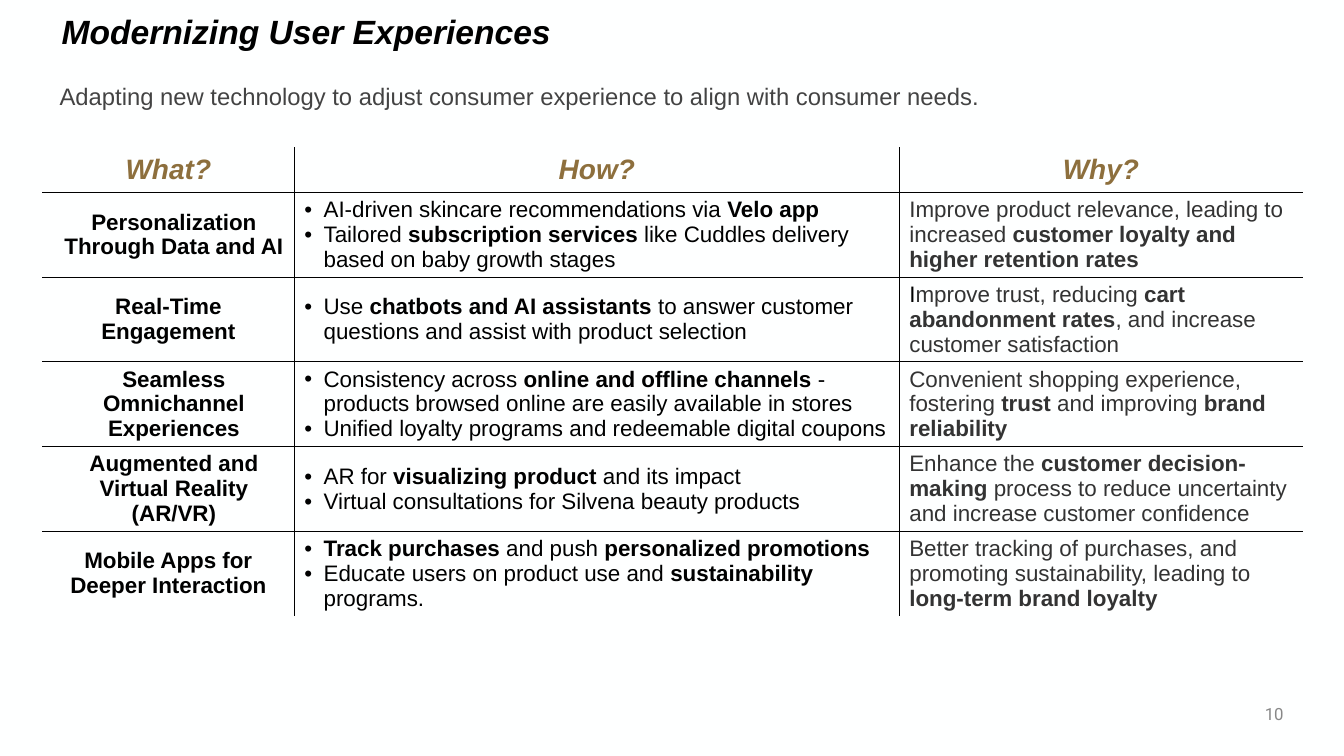
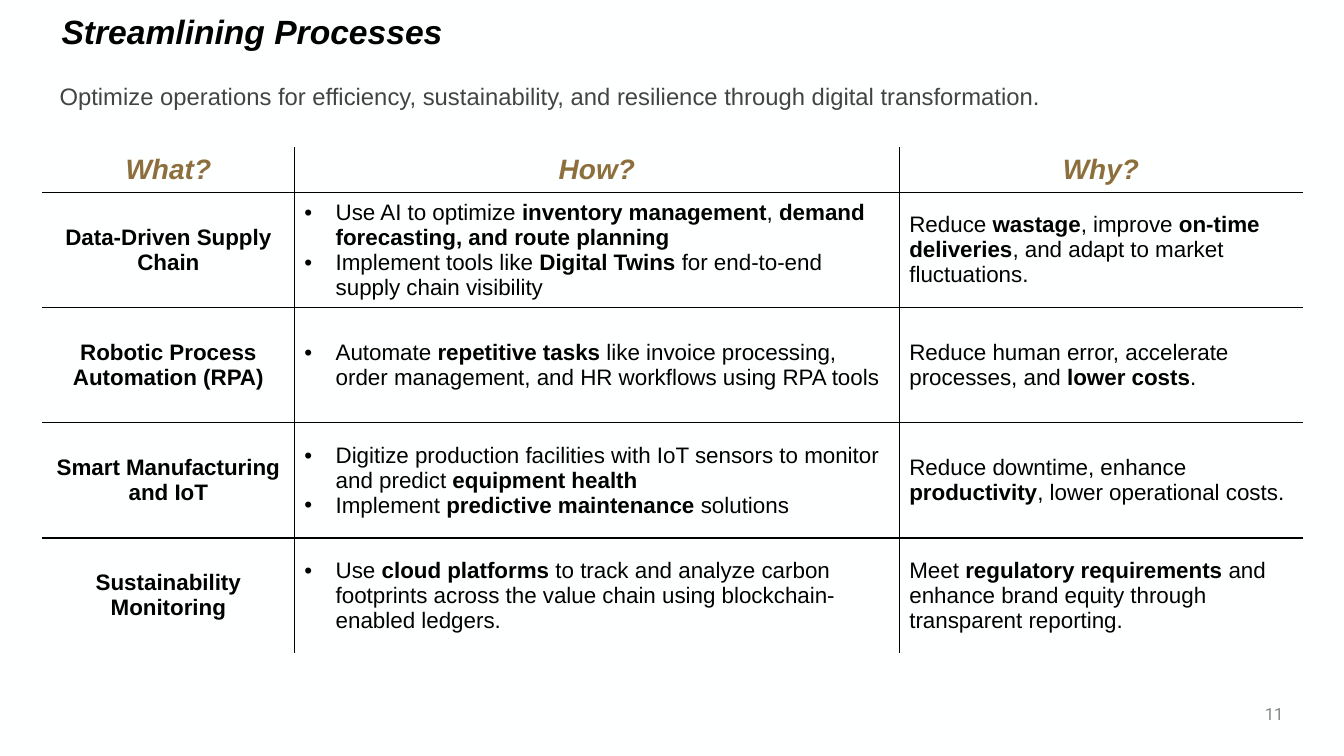
import pptx
import pptx.dml.color
import pptx.enum.text
import pptx.oxml.ns
import pptx.util
from lxml import etree

PAPER, INK, GOLD, SLATE, GRAY, CHARCOAL = "FEFFFF", "000000", "8D6F3D", "434343", "888888", "333333"
SANS, NUMBER_FONT = "Arial", "Roboto"
W, H = pptx.util.Inches(13.33), pptx.util.Inches(7.5)
TITLE_BOX = (3.83, 0.25, 92.4, 8.5)
SUBTITLE_BOX = (3.68, 10.13, 92.7, 5.2)
NUMBER_BOX = (87.25, 91.75, 9, 5.33)
TABLE_LEFT, TABLE_TOP, TABLE_WIDTH = 3.15, 19.45, 93.77
COLUMN_UNITS = (5, 12, 8)
HEADER_HEIGHT = 6
CELL_MARGIN = pptx.util.Inches(0.02)
HEADINGS = ("What?", "How?", "Why?")
ALIGN = pptx.enum.text.PP_ALIGN
MIDDLE = pptx.enum.text.MSO_ANCHOR.MIDDLE
BOLD_MARK, INK_MARK = "*", "#"

SLIDES = [
    dict(
        title="Modernizing User Experiences", number="10",
        subtitle="Adapting new technology to adjust consumer experience to align with consumer needs.",
        row_height=11.21, bullet_indent=0.19, why_color=CHARCOAL,
        rows=[
            ("Personalization Through Data and AI", 0.11,
             ["AI-driven skincare recommendations via |*Velo app",
              "Tailored |*subscription services| like Cuddles delivery based on baby growth stages"],
             "Improve product relevance, leading to increased |*customer loyalty and higher retention rates"),
            ("Real-Time Engagement", 0,
             ["Use |*chatbots and AI assistants |to answer customer questions and assist with product selection"],
             "#I|mprove trust, reducing |*cart abandonment rates|, and increase customer satisfaction"),
            ("Seamless Omnichannel Experiences", 0.11,
             ["Consistency across |*online and offline channels| - products browsed online are easily available in stores",
              "Unified loyalty programs and redeemable digital coupons"],
             "Convenient shopping experience, fostering |*trust |and improving |*brand reliability"),
            ("Augmented and Virtual Reality (AR/VR)", 0.11,
             ["AR for |*visualizing product| and its impact",
              "Virtual consultations for Silvena beauty products"],
             "Enhance the |*customer decision-making| process to reduce uncertainty and increase customer confidence"),
            ("Mobile Apps for Deeper Interaction", 0,
             ["*Track purchases| and push |*personalized promotions",
              "Educate users on product use and |*sustainability |programs."],
             "Better tracking of purchases, and promoting sustainability, leading to |*long-term brand loyalty"),
        ],
    ),
    dict(
        title="Streamlining Processes", number="11",
        subtitle="Optimize operations for efficiency, sustainability, and resilience through digital transformation.",
        row_height=15.24, bullet_indent=0.31, why_color=INK,
        rows=[
            ("Data-Driven Supply Chain", 0,
             ["Use AI to optimize |*inventory management|, |*demand forecasting, and route planning",
              "Implement tools like |*Digital Twins| for end-to-end supply chain visibility"],
             "Reduce |*wastage|, improve |*on-time deliveries|, and adapt to market fluctuations."),
            ("Robotic Process Automation (RPA)", 0,
             ["Automate |*repetitive tasks| like invoice processing, order management, and HR workflows using RPA tools"],
             "Reduce human error, accelerate processes, and |*lower costs|."),
            ("Smart Manufacturing and IoT", 0,
             ["Digitize production facilities with IoT sensors to monitor and predict |*equipment health",
              "Implement |*predictive maintenance| solutions"],
             "Reduce downtime, enhance |*productivity|, lower operational costs."),
            ("Sustainability Monitoring", 0,
             ["Use |*cloud platforms| to track and analyze carbon footprints across the value chain using blockchain-enabled ledgers."],
             "Meet |*regulatory requirements| and enhance brand equity through transparent reporting."),
        ],
    ),
]


def rgb(color):
    return pptx.dml.color.RGBColor.from_string(color)


def share(box):
    return [int(total * part / 100) for total, part in zip((W, H, W, H), box)]


def add_run(p, text, size, color, font=SANS, bold=False, italic=False):
    r = p.add_run()
    r.text = text
    r.font.name, r.font.size = font, pptx.util.Pt(size)
    r.font.bold, r.font.italic = bold, italic
    r.font.color.rgb = rgb(color)


def add_marked_runs(p, text, color):
    for part in text.split("|"):
        run_color = INK if part.startswith(INK_MARK) else color
        add_run(p, part.lstrip(BOLD_MARK + INK_MARK), 16, run_color,
                bold=part.startswith(BOLD_MARK))


def set_indent(p, left, bullet=False):
    pPr = p._p.get_or_add_pPr()
    left = pptx.util.Inches(left)
    pPr.set("marL", str(left))
    pPr.set("indent", str(-left if bullet else 0))
    qn = pptx.oxml.ns.qn
    if bullet:
        etree.SubElement(etree.SubElement(pPr, qn("a:buClr")), qn("a:srgbClr"), val=INK)
        etree.SubElement(pPr, qn("a:buFont"), typeface=SANS)
        etree.SubElement(pPr, qn("a:buChar"), char="•")
    else:
        etree.SubElement(pPr, qn("a:buNone"))


def set_borders(cell, visible):
    qn = pptx.oxml.ns.qn
    tcPr = cell._tc.get_or_add_tcPr()
    for side in "LRTB":
        ln = etree.SubElement(tcPr, qn("a:ln" + side), w=str(pptx.util.Pt(1)))
        if side in visible:
            etree.SubElement(etree.SubElement(ln, qn("a:solidFill")), qn("a:srgbClr"), val=INK)
        else:
            etree.SubElement(ln, qn("a:noFill"))


def prepare_layout(prs):
    fill = prs.slide_master.background.fill
    fill.solid()
    fill.fore_color.rgb = rgb(PAPER)
    layout = prs.slide_layouts[1]
    for sp, box in zip(layout.placeholders, (TITLE_BOX, SUBTITLE_BOX)):
        sp.left, sp.top, sp.width, sp.height = share(box)
        tf = sp.text_frame
        tf.vertical_anchor, tf.word_wrap = MIDDLE, True
        tf.auto_size = pptx.enum.text.MSO_AUTO_SIZE.NONE
    return layout


def add_heading(slide, title, subtitle):
    p = slide.shapes.title.text_frame.paragraphs[0]
    p.alignment, p.line_spacing = ALIGN.LEFT, 0.9
    add_run(p, title, 24, INK, bold=True, italic=True)
    p = slide.placeholders[1].text_frame.paragraphs[0]
    p.alignment, p.space_before = ALIGN.LEFT, pptx.util.Pt(0)
    set_indent(p, 0)
    add_run(p, subtitle, 17, SLATE)


def add_number(slide, number, box):
    tf = slide.shapes.add_textbox(*share(box)).text_frame
    tf.word_wrap, tf.vertical_anchor = True, MIDDLE
    p = tf.paragraphs[0]
    p.alignment = ALIGN.RIGHT
    add_run(p, number, 12, GRAY, font=NUMBER_FONT)


def fill_row(cells, what, what_indent, how, why, bullet_indent, why_color):
    p = cells[0].text_frame.paragraphs[0]
    p.alignment = ALIGN.CENTER
    set_indent(p, what_indent)
    add_run(p, what, 16, INK, bold=True)
    tf = cells[1].text_frame
    for i, text in enumerate(how):
        p = tf.add_paragraph() if i else tf.paragraphs[0]
        set_indent(p, bullet_indent, bullet=True)
        add_marked_runs(p, text, INK)
    add_marked_runs(cells[2].text_frame.paragraphs[0], why, why_color)


def add_plan_table(slide, rows, row_height, bullet_indent, why_color):
    n_rows, n_cols = len(rows) + 1, len(COLUMN_UNITS)
    box = (TABLE_LEFT, TABLE_TOP, TABLE_WIDTH, HEADER_HEIGHT + row_height * len(rows))
    left, top, width, height = share(box)
    table = slide.shapes.add_table(n_rows, n_cols, left, top, width, height).table
    table.first_row = table.horz_banding = False
    for column, units in zip(table.columns, COLUMN_UNITS):
        column.width = width * units // sum(COLUMN_UNITS)
    for i, row in enumerate(table.rows):
        row.height = int(H * (row_height if i else HEADER_HEIGHT) / 100)
        for j, cell in enumerate(row.cells):
            inner = {"L": j > 0, "R": j < n_cols - 1, "T": i > 0, "B": i < n_rows - 1}
            set_borders(cell, [side for side in inner if inner[side]])
            cell.fill.solid()
            cell.fill.fore_color.rgb = rgb(PAPER)
            cell.vertical_anchor = MIDDLE
            cell.margin_top = cell.margin_bottom = CELL_MARGIN
    for j, heading in enumerate(HEADINGS):
        p = table.cell(0, j).text_frame.paragraphs[0]
        p.alignment = ALIGN.CENTER
        add_run(p, heading, 20, GOLD, bold=True, italic=True)
    for i, content in enumerate(rows, 1):
        cells = [table.cell(i, j) for j in range(n_cols)]
        fill_row(cells, *content, bullet_indent, why_color)


def add_plan_slide(prs, layout, title, subtitle, number, **plan):
    slide = prs.slides.add_slide(layout)
    add_heading(slide, title, subtitle)
    add_number(slide, number, NUMBER_BOX)
    add_plan_table(slide, **plan)


def main():
    prs = pptx.Presentation()
    prs.slide_width, prs.slide_height = W, H
    layout = prepare_layout(prs)
    for content in SLIDES:
        add_plan_slide(prs, layout, **content)
    prs.save("out.pptx")


if __name__ == "__main__":
    main()
